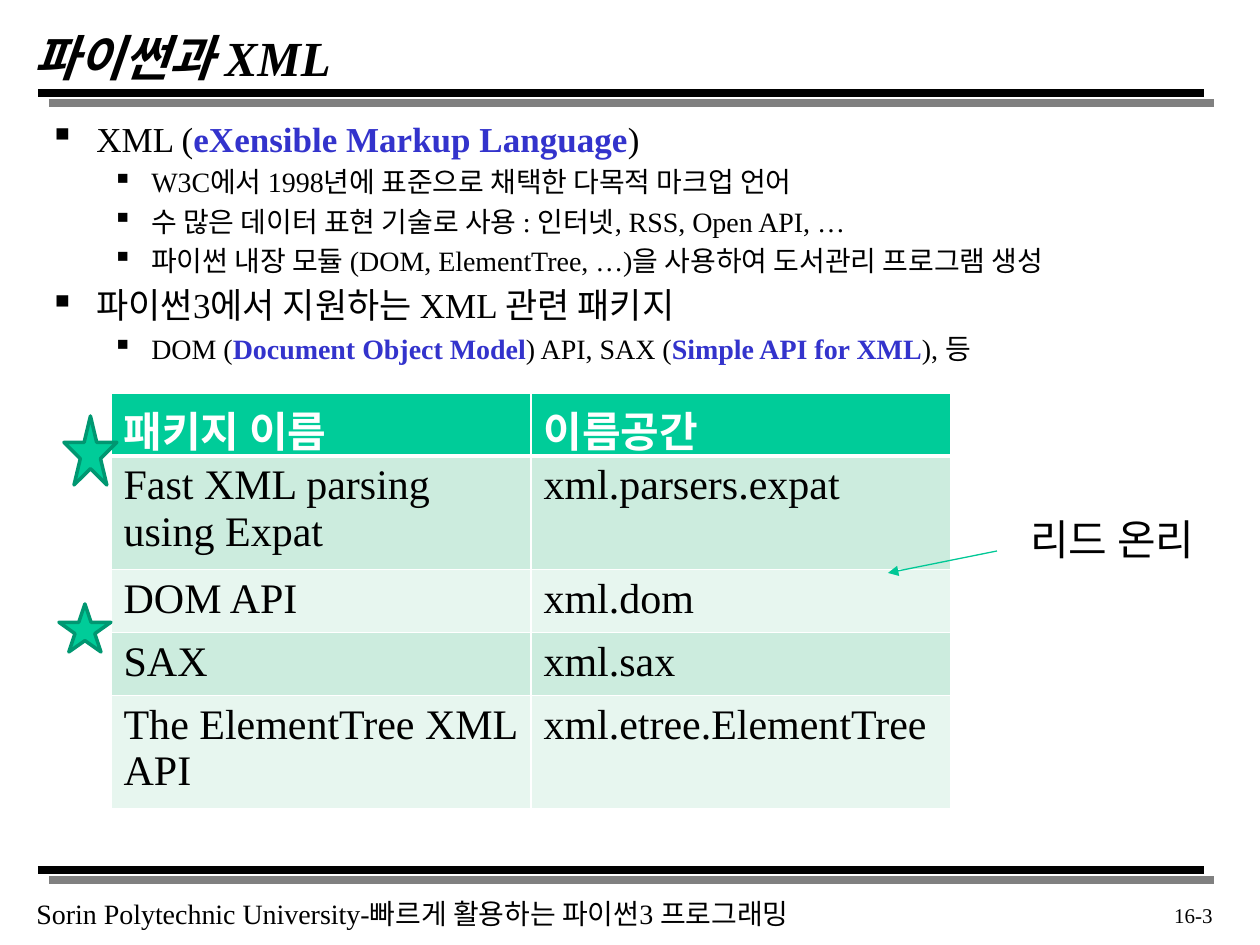
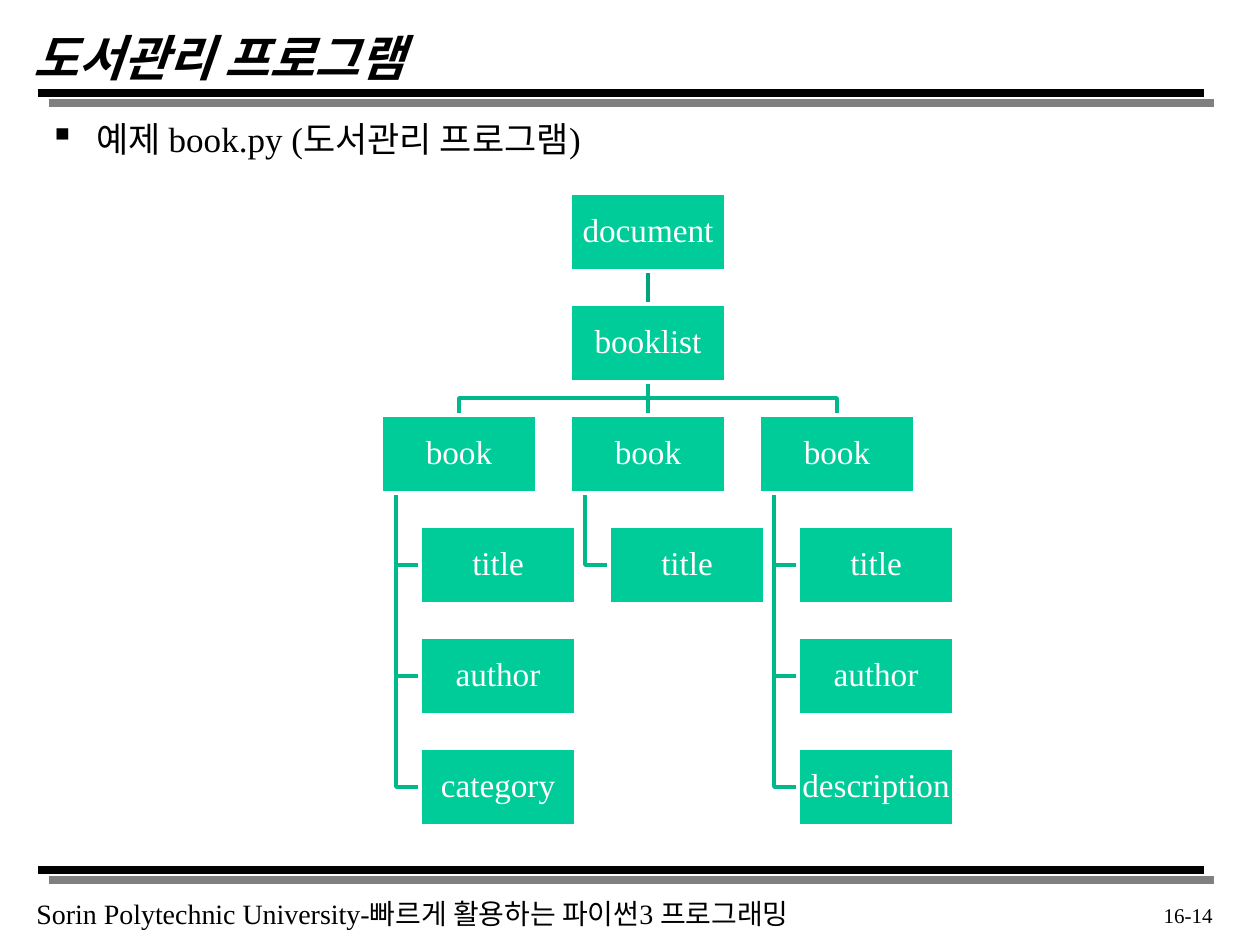
from lxml.etree import SubElement
from pptx import Presentation
from pptx.dml.color import RGBColor
from pptx.enum.shapes import MSO_CONNECTOR, MSO_SHAPE
from pptx.enum.text import MSO_ANCHOR, MSO_AUTO_SIZE, PP_ALIGN
from pptx.oxml.ns import qn
from pptx.util import Emu, Inches, Pt

SCALE = 914400 / 126
FONT = "Times New Roman"
FOOTER = "Sorin Polytechnic University-빠르게 활용하는 파이썬3 프로그래밍"
COLORS = {
    "text": "000000", "key": "3333CC", "white": "FFFFFF", "band": "000000",
    "band_shadow": "808080", "green": "00CC99", "star_edge": "009771",
    "arrow": "00C896", "root_link": "00A37B", "link": "00B98B",
    "row_dark": "CCECDE", "row_light": "E7F6EF",
}
# Per outline level: left margin and hanging indent in pixels, text size.
LEVELS = [(47, -47, 20), (102, -39, 16)]


def px(n):
    """Turn pixels into EMU."""
    return Emu(round(n * SCALE))


def rgb(name):
    """Look up a palette colour."""
    return RGBColor.from_string(COLORS[name])


class Deck:
    """Holds the presentation, its style and the current slide."""

    def __init__(self):
        """Start a 10 by 7.5 inch presentation."""
        self.prs = Presentation()
        self.prs.slide_width, self.prs.slide_height = Inches(10), Inches(7.5)
        self.s = None

    def slide(self, title, number):
        """Add a slide with title, bands, footer and page number."""
        self.s = self.prs.slides.add_slide(self.prs.slide_layouts[5])
        for y in (93, 870):
            self.line(49, y + 10, 1214, y + 10, "band_shadow", 5)
            self.line(38, y, 1204, y, "band", 5)
        sp = self.s.shapes.title
        sp.left, sp.top, sp.width, sp.height = map(px, (21, 21, 1071, 63))
        tf = sp.text_frame
        tf.auto_size = MSO_AUTO_SIZE.NONE
        tf.vertical_anchor = MSO_ANCHOR.TOP
        p = tf.paragraphs[0]
        p.alignment = PP_ALIGN.LEFT
        self.run(p, title, 28, bold=True).font.italic = True
        self.text(24, 890, 832, 47, FOOTER, 16, wrap=False)
        self.text(1120, 896, 105, 40, number, 12, PP_ALIGN.RIGHT)

    def run(self, p, text, size, color="text", bold=False):
        """Append one formatted run."""
        r = p.add_run()
        r.text = text
        r.font.name, r.font.size, r.font.bold = FONT, Pt(size), bold
        r.font.color.rgb = rgb(color)
        return r

    def text(self, x, y, w, h, text, size, align=PP_ALIGN.LEFT, wrap=True):
        """Add a one-paragraph text box."""
        tf = self.s.shapes.add_textbox(*map(px, (x, y, w, h))).text_frame
        tf.word_wrap = wrap
        p = tf.paragraphs[0]
        p.alignment = align
        self.run(p, text, size)

    def outline(self, items):
        """Add the bulleted body; in each item, odd parts are key terms."""
        tf = self.s.shapes.add_textbox(*map(px, (37, 111, 1182, 709))).text_frame
        tf.word_wrap = True
        for i, (level, *parts) in enumerate(items):
            margin, indent, size = LEVELS[level]
            p = tf.add_paragraph() if i else tf.paragraphs[0]
            p.level = level
            p.space_before = Pt(size * 0.2)
            pPr = p._p.get_or_add_pPr()
            pPr.set("marL", str(px(margin)))
            pPr.set("indent", str(px(indent)))
            SubElement(pPr, qn("a:buChar"), char="▪")
            for j, part in enumerate(parts):
                key = j % 2 == 1
                self.run(p, part, size, "key" if key else "text", key)

    def line(self, x1, y1, x2, y2, color, width, arrow=False):
        """Add a straight line, with an arrowhead at its end if asked."""
        c = self.s.shapes.add_connector(
            MSO_CONNECTOR.STRAIGHT, *map(px, (x1, y1, x2, y2)))
        c.line.color.rgb, c.line.width = rgb(color), Pt(width)
        SubElement(c._element.spPr, qn("a:effectLst"))
        if arrow:
            SubElement(c.line._get_or_add_ln(), qn("a:tailEnd"), type="triangle")

    def elbow(self, points, color, width):
        """Add an open line with corners."""
        (x, y), *rest = points
        builder = self.s.shapes.build_freeform(x, y, scale=SCALE)
        builder.add_line_segments(rest, close=False)
        sp = builder.convert_to_shape()
        sp.shadow.inherit = False
        sp.fill.background()
        sp.line.color.rgb, sp.line.width = rgb(color), Pt(width)

    def shape(self, kind, x, y, w, h, edge):
        """Add a green preset shape with a 2 pt outline."""
        sp = self.s.shapes.add_shape(kind, *map(px, (x, y, w, h)))
        sp.shadow.inherit = False
        sp.fill.solid()
        sp.fill.fore_color.rgb = rgb("green")
        sp.line.color.rgb, sp.line.width = rgb(edge), Pt(2)
        return sp

    def node(self, x, y, w, h, text):
        """Add a labelled box of the tree."""
        tf = self.shape(MSO_SHAPE.RECTANGLE, x, y, w, h, "white").text_frame
        tf.word_wrap = True
        tf.vertical_anchor = MSO_ANCHOR.MIDDLE
        tf.margin_left = tf.margin_right = px(1)
        tf.margin_top = tf.margin_bottom = px(1)
        p = tf.paragraphs[0]
        p.alignment, p.line_spacing = PP_ALIGN.CENTER, 0.9
        self.run(p, text, 19, "white")

    def table(self, x, y, col_w, row_h, rows):
        """Add a table with a green header and alternating rows."""
        n = len(rows[0])
        tbl = self.s.shapes.add_table(
            len(rows), n, *map(px, (x, y, col_w * n, row_h * len(rows)))).table
        for col in tbl.columns:
            col.width = px(col_w)
        for i, values in enumerate(rows):
            tbl.rows[i].height = px(row_h)
            fill = "row_dark" if i % 2 else "row_light"
            for j, value in enumerate(values):
                cell = tbl.cell(i, j)
                self.borders(cell, top=3 if i == 1 else 1,
                             bottom=1 if i else 3)
                cell.fill.solid()
                cell.fill.fore_color.rgb = rgb(fill if i else "green")
                self.run(cell.text_frame.paragraphs[0], value, 24,
                         "text" if i else "white", not i)

    def borders(self, cell, top, bottom):
        """Give a cell white borders, 1 pt at the sides."""
        tcPr = cell._tc.get_or_add_tcPr()
        for side, width in zip("LRTB", (1, 1, top, bottom)):
            ln = SubElement(tcPr, qn("a:ln" + side), w=str(Pt(width)))
            fill = SubElement(ln, qn("a:solidFill"))
            SubElement(fill, qn("a:srgbClr"), val=COLORS["white"])


def xml_slide(deck):
    """Build the slide on Python's XML packages."""
    deck.slide("파이썬과 XML", "16-3")
    deck.outline([
        (0, "XML (", "eXensible Markup Language", ")"),
        (1, "W3C에서 1998년에 표준으로 채택한 다목적 마크업 언어"),
        (1, "수 많은 데이터 표현 기술로 사용 : 인터넷, RSS, Open API, …"),
        (1, "파이썬 내장 모듈 (DOM, ElementTree, …)을 사용하여 "
            "도서관리 프로그램 생성"),
        (0, "파이썬3에서 지원하는 XML 관련 패키지"),
        (1, "DOM (", "Document Object Model", ") API, SAX (",
         "Simple API for XML", "), 등"),
    ])
    deck.table(111, 393, 420, 51, [
        ("패키지 이름", "이름공간"),
        ("Fast XML parsing using Expat", "xml.parsers.expat"),
        ("DOM API", "xml.dom"),
        ("SAX", "xml.sax"),
        ("The ElementTree XML API", "xml.etree.ElementTree"),
    ])
    deck.line(997, 551, 888, 573, "arrow", 0.75, arrow=True)
    deck.text(1018, 507, 239, 63, "리드 온리", 24)
    deck.shape(MSO_SHAPE.STAR_5_POINT, 64, 416, 53, 69, "star_edge")
    deck.shape(MSO_SHAPE.STAR_5_POINT, 59, 604, 52, 48, "star_edge")


def tree_slide(deck):
    """Build the slide with the document tree."""
    deck.slide("도서관리 프로그램", "16-14")
    deck.outline([(0, "예제 book.py (도서관리 프로그램)")])
    w, h, indent, trunk = 156, 78, 39, 15
    tops = [193 + 111 * i for i in range(6)]
    lefts = [381 + 189 * i for i in range(3)]
    middle = lefts[1] + w / 2
    books = [("title", "author", "category"), ("title",),
             ("title", "author", "description")]

    deck.line(middle, tops[0] + h, middle, tops[1], "root_link", 2)
    deck.line(middle, tops[1] + h, middle, tops[2], "link", 2)
    fork = (tops[1] + h + tops[2]) / 2
    for x in (lefts[0] + w / 2, lefts[2] + w / 2):
        deck.elbow([(middle, tops[1] + h), (middle, fork), (x, fork),
                    (x, tops[2])], "link", 2)
    for x, fields in zip(lefts, books):
        for top in tops[3:3 + len(fields)]:
            deck.elbow([(x + trunk, tops[2] + h), (x + trunk, top + h / 2),
                        (x + indent, top + h / 2)], "link", 2)

    deck.node(lefts[1], tops[0], w, h, "document")
    deck.node(lefts[1], tops[1], w, h, "booklist")
    for x, fields in zip(lefts, books):
        deck.node(x, tops[2], w, h, "book")
        for top, field in zip(tops[3:], fields):
            deck.node(x + indent, top, w, h, field)


deck = Deck()
xml_slide(deck)
tree_slide(deck)
deck.prs.save("out.pptx")
